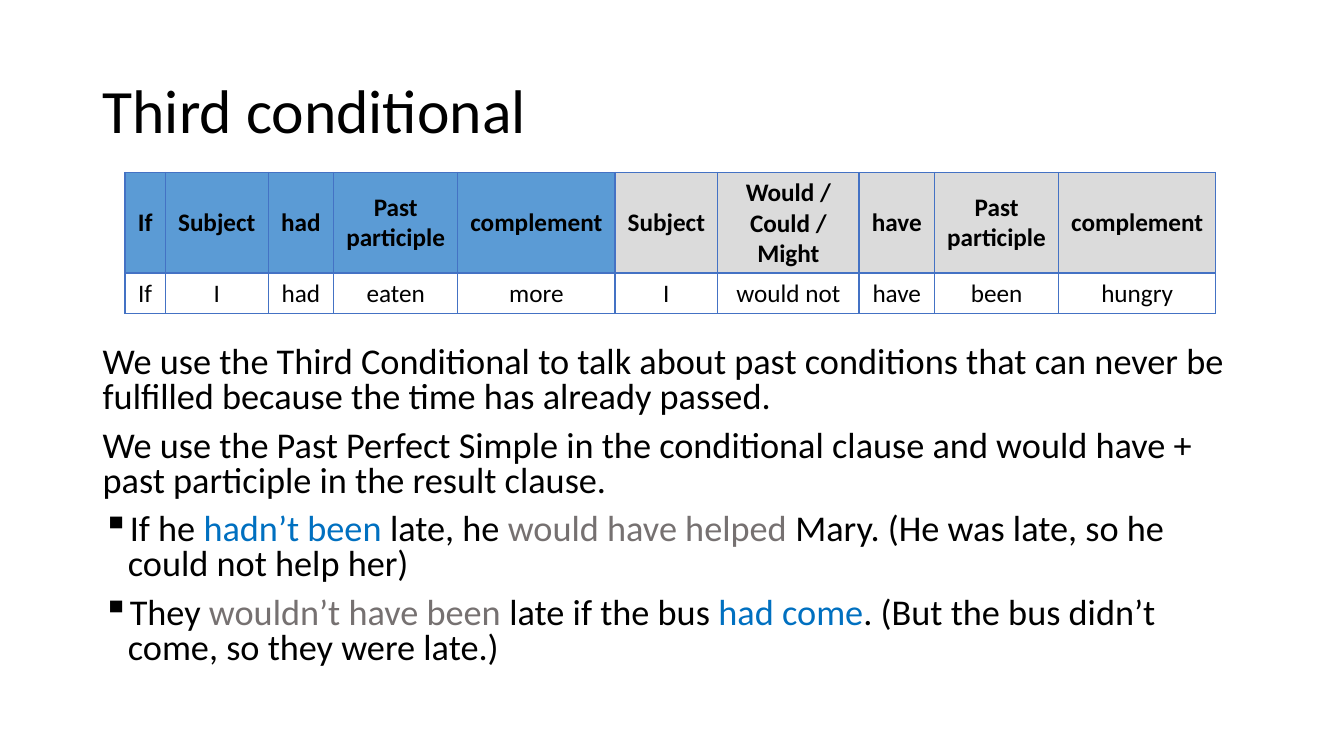
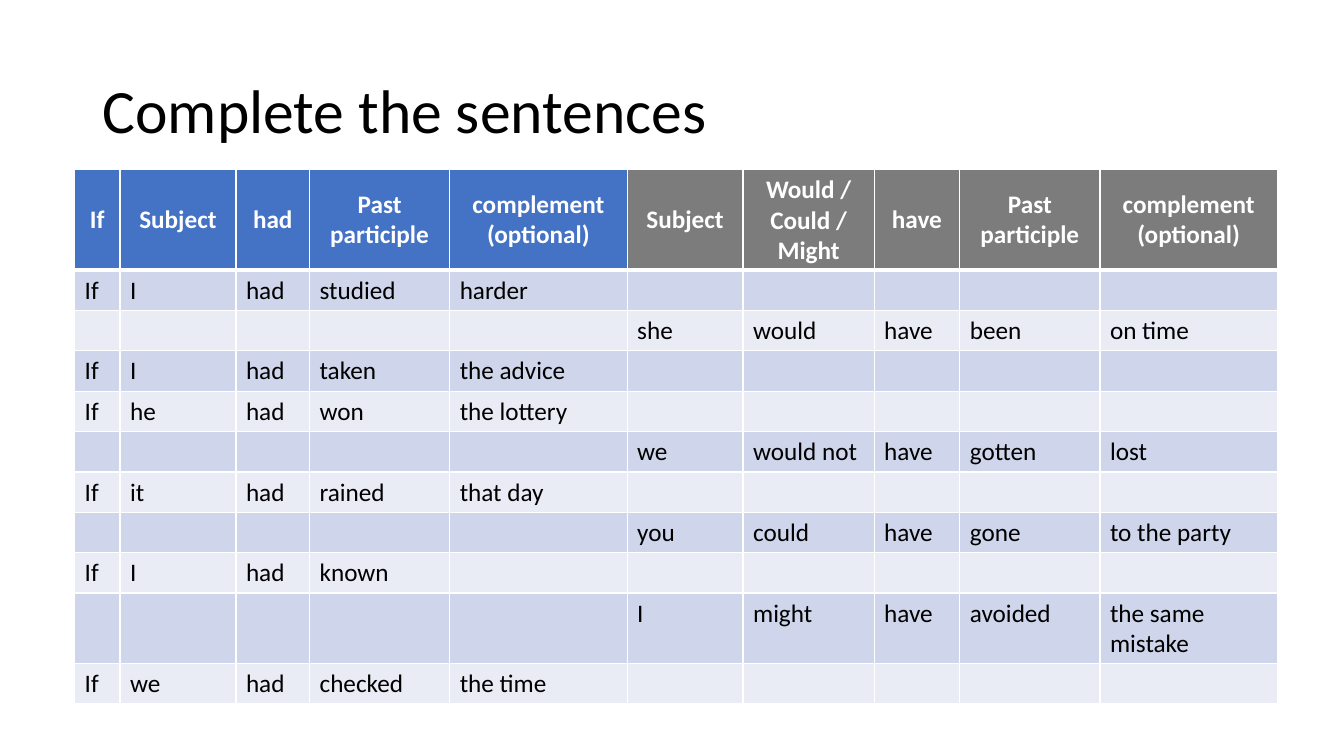
from lxml import etree
from pptx import Presentation
from pptx.dml.color import RGBColor
from pptx.enum.text import MSO_ANCHOR, PP_ALIGN
from pptx.oxml.ns import qn
from pptx.util import Inches, Pt

MIDDLE, TOP = MSO_ANCHOR.MIDDLE, MSO_ANCHOR.TOP
LEFT, CENTER = PP_ALIGN.LEFT, PP_ALIGN.CENTER

BLACK = RGBColor(0x00, 0x00, 0x00)
WHITE = RGBColor(0xFF, 0xFF, 0xFF)
BLUE = RGBColor(0x44, 0x72, 0xC4)
SKY = RGBColor(0x5B, 0x9B, 0xD5)
SILVER = RGBColor(0xDB, 0xDB, 0xDB)
GRAY = RGBColor(0x7C, 0x7C, 0x7C)
DARK = RGBColor(0xCF, 0xD5, 0xEA)
LIGHT = RGBColor(0xE9, 0xEB, 0xF5)
IF_INK = RGBColor(0x00, 0x70, 0xC0)
MAIN_INK = RGBColor(0x76, 0x71, 0x71)

TITLE = {"size": Pt(44), "name": "Calibri"}
BODY = {"size": Pt(25.9), "name": "Calibri"}
HEAD = {"size": Pt(18), "name": "Calibri", "bold": True}
CELL = {"size": Pt(18), "name": "Calibri", "bold": False}

HALF = 5
NOTES = [
    (False, [("We use the Third Conditional to talk about past conditions that "
              "can never be fulfilled because the time has already passed.", BLACK)]),
    (False, [("We use the Past Perfect Simple in the conditional clause and "
              "would have + past participle in the result clause.", BLACK)]),
    (True, [("If he ", BLACK), ("hadn’t been ", IF_INK), ("late, he ", BLACK),
            ("would have helped ", MAIN_INK),
            ("Mary. (He was late, so he could not help her)", BLACK)]),
    (True, [("They ", BLACK), ("wouldn’t have been ", MAIN_INK),
            ("late if the bus ", BLACK), ("had come", IF_INK),
            (". (But the bus didn’t come, so they were late.)", BLACK)]),
]
MODEL = [("If", "I", "had", "eaten", "more",
          "I", "would not", "have", "been", "hungry")]
CLAUSES = [
    ("If", "I", "had", "studied", "harder"),
    ("she", "would", "have", "been", "on time"),
    ("If", "I", "had", "taken", "the advice"),
    ("If", "he", "had", "won", "the lottery"),
    ("we", "would not", "have", "gotten", "lost"),
    ("If", "it", "had", "rained", "that day"),
    ("you", "could", "have", "gone", "to the party"),
    ("If", "I", "had", "known", ""),
    ("I", "might", "have", "avoided", "the same mistake"),
    ("If", "we", "had", "checked", "the time"),
]
BLANKS = ("",) * HALF


def apply(item, values):
    for key, value in values.items():
        setattr(item, key, value)


def add_run(para, text, font, ink):
    run = para.add_run()
    run.text = text
    apply(run.font, font)
    run.font.color.rgb = ink


def add_frame(slide, top, height, anchor):
    box = slide.shapes.add_textbox(Inches(0.92), Inches(top), Inches(11.5), Inches(height))
    apply(box.text_frame, {"word_wrap": True, "vertical_anchor": anchor})
    return box.text_frame


def add_page(deck, title):
    slide = deck.slides.add_slide(deck.slide_layouts[6])
    para = add_frame(slide, 0.4, 1.45, MIDDLE).paragraphs[0]
    para.line_spacing = 0.9
    add_run(para, title, TITLE, BLACK)
    return slide


def add_bullet(para):
    props = para._p.get_or_add_pPr()
    props.set("marL", str(Inches(0.25)))
    props.set("indent", str(Inches(-0.25)))
    etree.SubElement(props, qn("a:buChar")).set("char", "▪")


def add_notes(slide, notes):
    frame = add_frame(slide, 3.39, 3.37, TOP)
    for index, (listed, parts) in enumerate(notes):
        para = frame.add_paragraph() if index else frame.paragraphs[0]
        apply(para, {"line_spacing": 0.8, "space_before": Pt(10)})
        if listed:
            add_bullet(para)
        for text, ink in parts:
            add_run(para, text, BODY, ink)


def set_edges(cell, ink, widths):
    props = cell._tc.get_or_add_tcPr()
    for side, width in zip("LRTB", widths):
        line = etree.SubElement(props, qn(f"a:ln{side}"), w=str(Pt(width)))
        fill = etree.SubElement(line, qn("a:solidFill"))
        etree.SubElement(fill, qn("a:srgbClr"), val=str(ink))


def fill_cell(cell, text, font, ink, fill, align, anchor):
    cell.fill.solid()
    cell.fill.fore_color.rgb = fill
    cell.vertical_anchor = anchor
    frame = cell.text_frame
    for index, line in enumerate(text.split("\n")):
        para = frame.add_paragraph() if index else frame.paragraphs[0]
        para.alignment = align
        if line:
            add_run(para, line, font, ink)


def head_row(last):
    return ("If", "Subject", "had", "Past\nparticiple", last,
            "Subject", "Would / Could / Might", "have", "Past\nparticiple", last)


def add_grid(slide, left, top, cols, rows, look):
    heights = [1] + [0.4] * (len(rows) - 1)
    frame = slide.shapes.add_table(len(rows), len(cols), Inches(left), Inches(top),
                                   Inches(sum(cols)), Inches(sum(heights)))
    table = frame.table
    apply(table, {"first_row": False, "horz_banding": False})
    for col, width in zip(table.columns, cols):
        col.width = Inches(width)
    for row, height in zip(table.rows, heights):
        row.height = Inches(height)
    for r, row in enumerate(rows):
        above = look["rule"] if r == 1 else 1
        below = look["rule"] if r == 0 else 1
        for c, text in enumerate(row):
            cell = table.cell(r, c)
            set_edges(cell, look["edge"], (1, 1, above, below))
            if r == 0:
                fill = look["heads"][c // HALF]
                fill_cell(cell, text, HEAD, look["ink"], fill, CENTER, MIDDLE)
            else:
                fill = look["bands"][(r - 1) % 2]
                fill_cell(cell, text, CELL, BLACK, fill, look["align"], look["anchor"])


def main():
    deck = Presentation()
    apply(deck, {"slide_width": Inches(13.33), "slide_height": Inches(7.5)})

    slide = add_page(deck, "Third conditional")
    add_notes(slide, NOTES)
    look = {"heads": (SKY, SILVER), "bands": (WHITE, WHITE), "ink": BLACK,
            "edge": BLUE, "rule": 2, "align": CENTER, "anchor": MIDDLE}
    cols = [0.4, 1.02, 0.65, 1.23, 1.56, 1.02, 1.4, 0.75, 1.23, 1.56]
    add_grid(slide, 1.24, 1.71, cols, [head_row("complement")] + MODEL, look)

    slide = add_page(deck, "Complete the sentences")
    look = {"heads": (BLUE, GRAY), "bands": (DARK, LIGHT), "ink": WHITE,
            "edge": WHITE, "rule": 3, "align": LEFT, "anchor": TOP}
    cols = [0.45, 1.15, 0.73, 1.39, 1.76, 1.15, 1.3, 0.85, 1.39, 1.76]
    rows = [part + BLANKS if part[0] == "If" else BLANKS + part for part in CLAUSES]
    add_grid(slide, 0.74, 1.68, cols, [head_row("complement (optional)")] + rows, look)

    deck.save("out.pptx")


if __name__ == "__main__":
    main()
